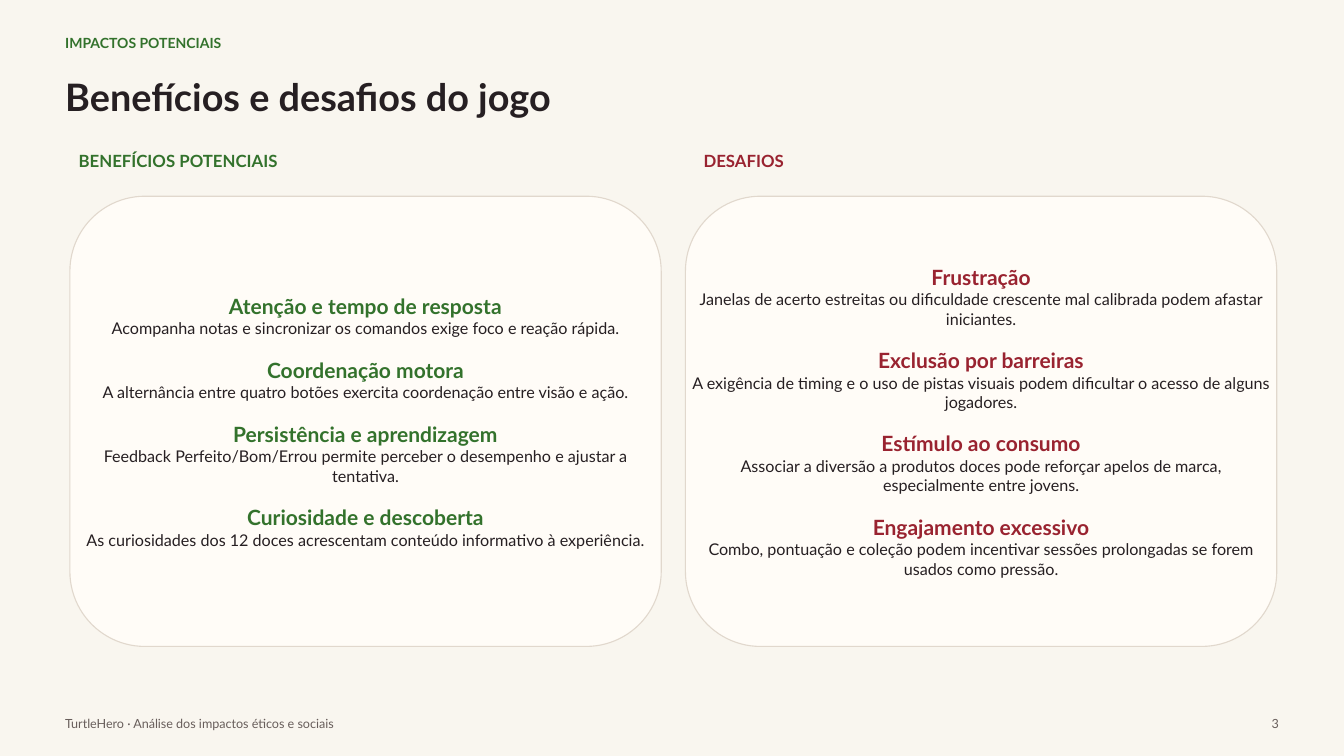
import pptx
import pptx.dml.color
import pptx.enum.shapes
import pptx.enum.text
import pptx.util

WIDTH, HEIGHT = 20, 11.25
MARGIN = 0.97
CARD_LEFT, CARD_TOP, CARD_W, CARD_H = 1.04, 2.92, 8.8, 6.7
CARD_PITCH = 9.16
FONT = "Lato"
GREEN, RED, INK, GREY = "33722C", "992330", "261F22", "685E5B"
PAPER, CARD, BORDER = "F9F6EF", "FFFCF7", "E1D8CD"
ALIGN = pptx.enum.text.PP_ALIGN
ANCHOR = pptx.enum.text.MSO_ANCHOR

BENEFITS = [
    ("Atenção e tempo de resposta",
     "Acompanha notas e sincronizar os comandos exige foco e reação rápida."),
    ("Coordenação motora",
     "A alternância entre quatro botões exercita coordenação entre visão e ação."),
    ("Persistência e aprendizagem",
     "Feedback Perfeito/Bom/Errou permite perceber o desempenho e ajustar a tentativa."),
    ("Curiosidade e descoberta",
     "As curiosidades dos 12 doces acrescentam conteúdo informativo à experiência."),
]
CHALLENGES = [
    ("Frustração",
     "Janelas de acerto estreitas ou dificuldade crescente mal calibrada podem afastar iniciantes."),
    ("Exclusão por barreiras",
     "A exigência de timing e o uso de pistas visuais podem dificultar o acesso de alguns jogadores."),
    ("Estímulo ao consumo",
     "Associar a diversão a produtos doces pode reforçar apelos de marca, especialmente entre jovens."),
    ("Engajamento excessivo",
     "Combo, pontuação e coleção podem incentivar sessões prolongadas se forem usados como pressão."),
]
# heading over the card, its left edge, accent colour, entries
COLUMNS = [
    ("BENEFÍCIOS POTENCIAIS", 1.17, GREEN, BENEFITS),
    ("DESAFIOS", 10.47, RED, CHALLENGES),
]


def rgb(value):
    return pptx.dml.color.RGBColor.from_string(value)


def inches(*values):
    return [pptx.util.Inches(v) for v in values]


def write(p, text, size, color, bold=False, align=ALIGN.LEFT, before=0):
    """Fill a paragraph, with lines 1.2 times the text size apart."""
    p.alignment = align
    p.line_spacing = pptx.util.Pt(round(size * 1.2, 1))
    p.space_before = pptx.util.Pt(before)
    r = p.add_run()
    r.text = text
    r.font.name = FONT
    r.font.size = pptx.util.Pt(size)
    r.font.bold = bold
    r.font.color.rgb = rgb(color)


def prepare_frame(sp, inset=0, anchor=ANCHOR.TOP):
    tf = sp.text_frame
    tf.word_wrap = True
    tf.auto_size = pptx.enum.text.MSO_AUTO_SIZE.NONE
    tf.vertical_anchor = anchor
    tf.margin_left = tf.margin_right = pptx.util.Inches(inset)
    tf.margin_top = tf.margin_bottom = pptx.util.Inches(inset)
    return tf


def add_label(s, box, text, size, color, **style):
    tf = prepare_frame(s.shapes.add_textbox(*inches(*box)))
    write(tf.paragraphs[0], text, size, color, **style)


def set_title(s, box, text):
    sp = s.shapes.title
    sp.left, sp.top, sp.width, sp.height = inches(*box)
    write(prepare_frame(sp).paragraphs[0], text, 40.5, INK, bold=True)


def add_card(s, box, color, entries):
    sp = s.shapes.add_shape(
        pptx.enum.shapes.MSO_SHAPE.ROUNDED_RECTANGLE, *inches(*box))
    sp.shadow.inherit = False
    sp.fill.solid()
    sp.fill.fore_color.rgb = rgb(CARD)
    sp.line.color.rgb = rgb(BORDER)
    sp.line.width = pptx.util.Pt(1.2)

    # The text runs the full width, past the inset of the round corners
    tf = prepare_frame(s.shapes.add_textbox(*inches(*box)), 0.06, ANCHOR.MIDDLE)
    for i, (heading, body) in enumerate(entries):
        p = tf.add_paragraph() if i else tf.paragraphs[0]
        write(p, heading, 22.5, color, bold=True, align=ALIGN.CENTER,
              before=20.7 if i else 0)
        write(tf.add_paragraph(), body, 17.3, INK, align=ALIGN.CENTER)


def main():
    prs = pptx.Presentation()
    prs.slide_width, prs.slide_height = inches(WIDTH, HEIGHT)
    s = prs.slides.add_slide(prs.slide_layouts[5])
    s.background.fill.solid()
    s.background.fill.fore_color.rgb = rgb(PAPER)

    # Header
    add_label(s, (MARGIN, 0.51, 17.93, 0.32), "IMPACTOS POTENCIAIS", 15, GREEN,
              bold=True)
    set_title(s, (MARGIN, 1.09, 17.93, 0.83), "Benefícios e desafios do jogo")

    # Two columns of cards
    for i, (heading, left, color, entries) in enumerate(COLUMNS):
        add_label(s, (left, 2.25, 8.33, 0.3), heading, 18, color, bold=True)
        add_card(s, (CARD_LEFT + i * CARD_PITCH, CARD_TOP, CARD_W, CARD_H),
                 color, entries)

    # Footer
    add_label(s, (MARGIN, 10.65, 14.93, 0.25),
              "TurtleHero · Análise dos impactos éticos e sociais", 13.5, GREY)
    add_label(s, (18.58, 10.65, 0.45, 0.25), "3", 13.5, GREY, align=ALIGN.RIGHT)

    prs.save("out.pptx")


if __name__ == "__main__":
    main()
